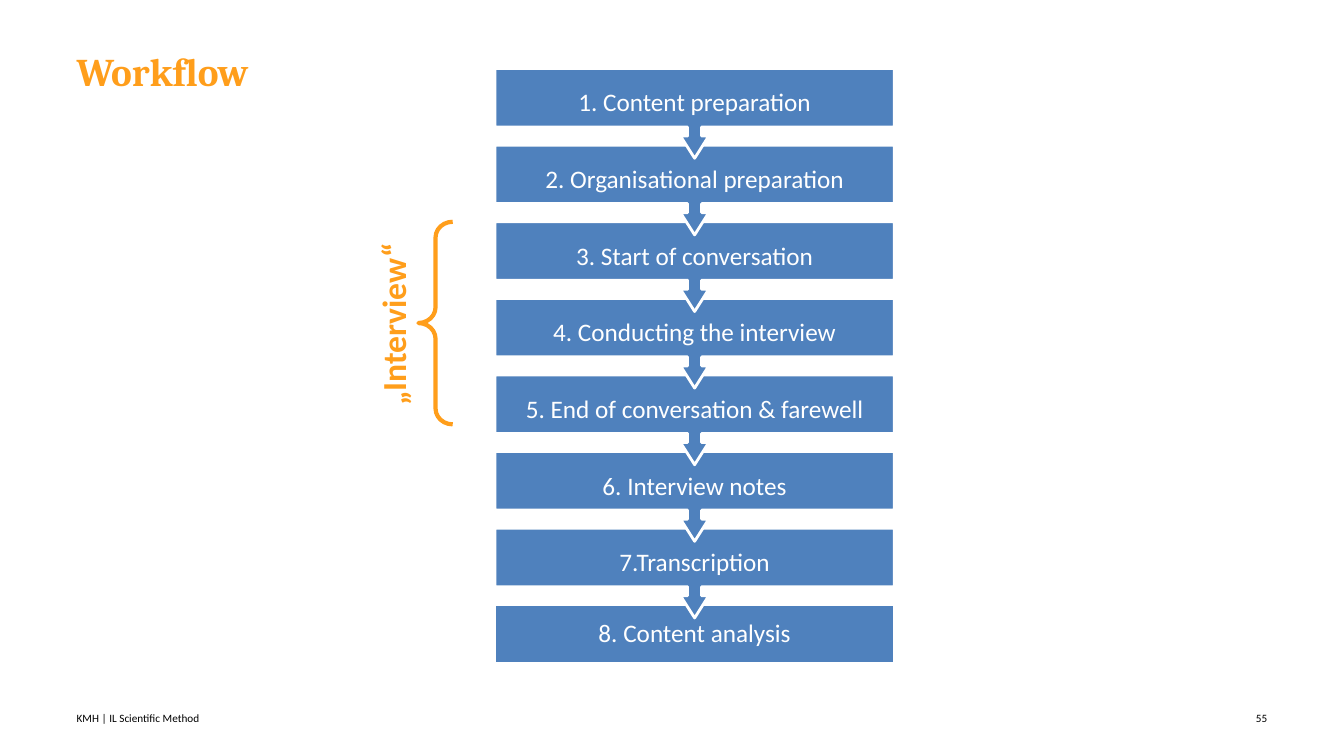
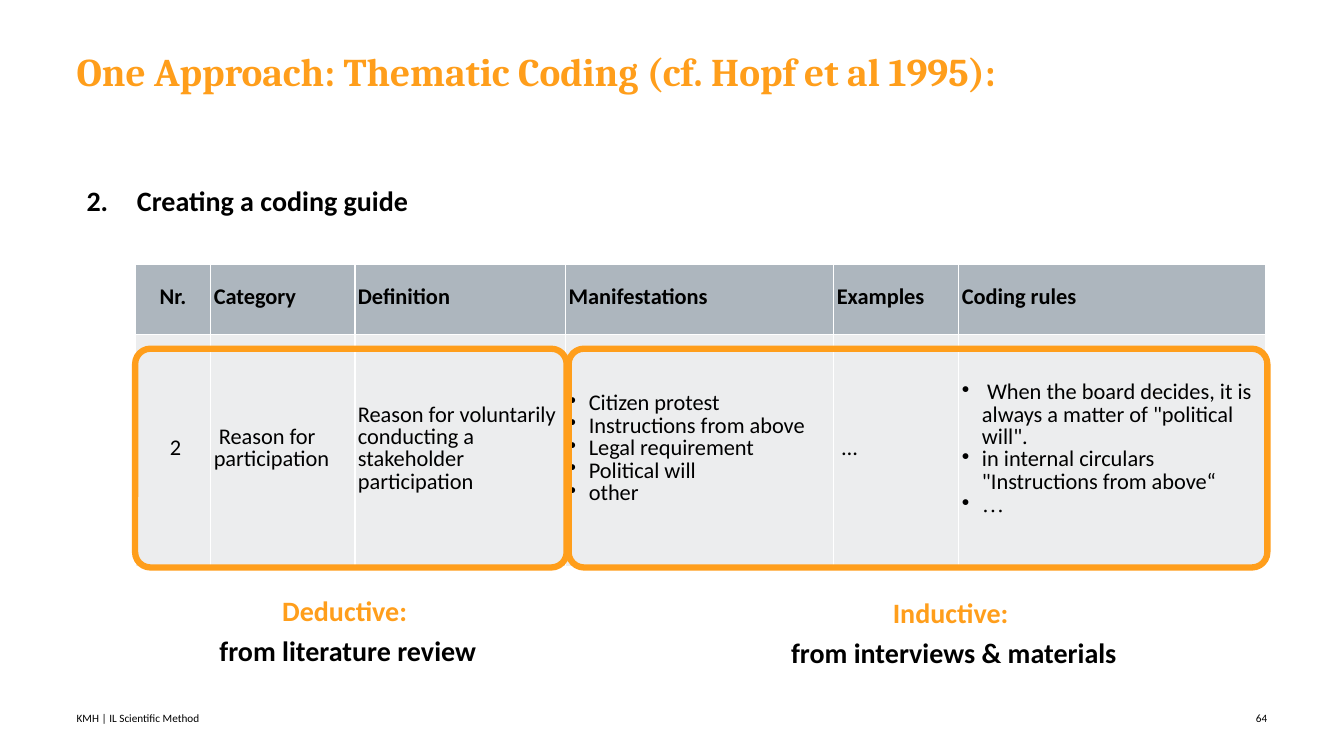
from lxml import etree
from pptx import Presentation
from pptx.dml.color import RGBColor
from pptx.enum import shapes, text
from pptx.oxml import ns
from pptx.util import Inches, Pt

ORANGE = RGBColor(0xFF, 0x9E, 0x1B)
BLACK = RGBColor(0, 0, 0)
WHITE = RGBColor(0xFF, 0xFF, 0xFF)
BLUE = RGBColor(0x4F, 0x81, 0xBD)
HEAD = RGBColor(0xAD, 0xB6, 0xBE)
PALE = RGBColor(0xEC, 0xED, 0xEE)
LEFT, MID, RIGHT = text.PP_ALIGN.LEFT, text.PP_ALIGN.CENTER, text.PP_ALIGN.RIGHT
TOP, CORE = text.MSO_ANCHOR.TOP, text.MSO_ANCHOR.MIDDLE
KIND = shapes.MSO_SHAPE

FOOTER = "KMH | IL Scientific Method"
STEPS = [
    "1. Content preparation",
    "2. Organisational preparation",
    "3. Start of conversation",
    "4. Conducting the interview",
    "5. End of conversation & farewell",
    "6. Interview notes",
    "7.Transcription",
    "8. Content analysis",
]
WIDTHS = [0.75, 1.43, 2.09, 2.66, 1.24, 3.04]
HEIGHTS = [0.7, 2.3]
ROWS = [
    ["Nr.", "Category", "Definition", "Manifestations", "Examples", "Coding rules"],
    [
        " 2",
        " Reason for participation",
        "Reason for voluntarily conducting a stakeholder participation",
        ["Citizen protest", "Instructions from above", "Legal requirement",
         "Political will", "other"],
        " …",
        [" When the board decides, it is always a matter of \"political will\".",
         "in internal circulars \"Instructions from above“", "…"],
    ],
]
FRAMES = [(1.34, 4.28), (5.64, 6.93)]
NOTES = [
    ((1.53, 5.82, 3.84, 0.78), "Deductive: ", "from literature review"),
    ((6.35, 5.84, 6.22, 0.78), "Inductive: ", "from interviews & materials"),
]


def add_xml(parent, tag, **attrs):
    return etree.SubElement(parent, ns.qn(tag), attrs)


def write(frame, lines, size=16, color=BLACK, font="Calibri", bold=False,
          align=LEFT, anchor=TOP, pads=(0, 0, 0, 0), gap=None,
          indent=0, mark=None):
    frame.word_wrap = True
    frame.vertical_anchor = anchor
    (frame.margin_left, frame.margin_top,
     frame.margin_right, frame.margin_bottom) = [Inches(p) for p in pads]
    for i, line in enumerate([lines] if isinstance(lines, str) else lines):
        para = frame.add_paragraph() if i else frame.paragraphs[0]
        para.alignment = align
        if gap:
            para.line_spacing = gap
        if mark:
            props = para._p.get_or_add_pPr()
            props.set("marL", str(Inches(indent)))
            props.set("indent", str(-Inches(indent)))
            tag, attrs = mark
            add_xml(props, tag, **attrs)
        parts = [(line, color)] if isinstance(line, str) else line
        for j, (words, tint) in enumerate(parts):
            if j:
                para.add_line_break()
            run = para.add_run()
            run.text = words
            run.font.size = Pt(size)
            run.font.name = "Times New Roman" if words == "…" else font
            run.font.bold = bold
            run.font.color.rgb = tint


def add_text(slide, at, lines, **style):
    box = slide.shapes.add_textbox(*[Inches(n) for n in at])
    write(box.text_frame, lines, **style)
    return box


def paint(shape, line, width, fill=None):
    shape.shadow.inherit = False
    if fill is None:
        shape.fill.background()
    else:
        shape.fill.solid()
        shape.fill.fore_color.rgb = fill
    shape.line.color.rgb = line
    shape.line.width = Pt(width)


def add_page(deck, title, number):
    slide = deck.slides.add_slide(deck.slide_layouts[6])
    add_text(slide, (0.76, 0.52, 9.76, 0.87), title, size=28, color=ORANGE,
             font="Cambria", bold=True, gap=0.9)
    add_text(slide, (0.76, 7.04, 5.59, 0.16), FOOTER, size=8, anchor=CORE)
    add_text(slide, (12.02, 7.04, 0.55, 0.16), number, size=8, align=RIGHT,
             anchor=CORE)
    return slide


def add_step(slide, top, label, last):
    left, wide, high = 4.91, 3.96, 0.58
    right, low, mid = left + wide, top + high, left + wide / 2
    neck, tip = top + 0.67, top + 0.89
    arrow = [(mid + 0.07, low), (mid + 0.07, neck), (mid + 0.14, neck),
             (mid, tip), (mid - 0.14, neck), (mid - 0.07, neck),
             (mid - 0.07, low)]
    points = [(left, top), (right, top), (right, low)]
    points += ([] if last else arrow) + [(left, low)]
    points = [(Inches(x), Inches(y)) for x, y in points]
    path = slide.shapes.build_freeform(*points[0], scale=1.0)
    path.add_line_segments(points[1:], close=True)
    shape = path.convert_to_shape()
    paint(shape, WHITE, 2, BLUE)
    pads = (0.1, 0.1, 0.1, 0.1) if last else (0.1, 0.11, 0.1, 0.3)
    write(shape.text_frame, label, size=18, color=WHITE, align=MID,
          anchor=CORE, pads=pads, gap=0.9)


def add_flow(deck):
    slide = add_page(deck, "Workflow", "55")
    end = len(STEPS) - 1
    for i in range(end, -1, -1):
        add_step(slide, 0.68 + 0.76 * i, STEPS[i], i == end)
    brace = slide.shapes.add_shape(KIND.LEFT_BRACE, Inches(4.15), Inches(2.2),
                                   Inches(0.34), Inches(2.01))
    brace.adjustments[0] = 0.46
    paint(brace, ORANGE, 3)
    label = add_text(slide, (2.87, 2.97, 2.05, 0.5), "„Interview“", size=24,
                     color=ORANGE, bold=True, align=MID,
                     pads=(0.1, 0.05, 0.1, 0.05))
    label.rotation = 270


def add_edges(cell):
    props = cell._tc.get_or_add_tcPr()
    for i, side in enumerate(("a:lnL", "a:lnR", "a:lnT", "a:lnB")):
        edge = etree.Element(ns.qn(side), {"w": str(Pt(1))})
        add_xml(add_xml(edge, "a:solidFill"), "a:srgbClr", val=str(WHITE))
        props.insert(i, edge)


def add_grid(slide):
    grid = slide.shapes.add_table(
        len(ROWS), len(WIDTHS), Inches(1.34), Inches(2.62),
        Inches(sum(WIDTHS)), Inches(sum(HEIGHTS))).table
    for col, wide in zip(grid.columns, WIDTHS):
        col.width = Inches(wide)
    for r, row in enumerate(ROWS):
        grid.rows[r].height = Inches(HEIGHTS[r])
        for c, words in enumerate(row):
            cell = grid.cell(r, c)
            cell.fill.solid()
            cell.fill.fore_color.rgb = PALE if r else HEAD
            add_edges(cell)
            mark = ("a:buChar", {"char": "•"}) if isinstance(words, list) else None
            write(cell.text_frame, words, bold=r == 0, gap=Pt(16),
                  align=LEFT if c else MID, indent=0.2, mark=mark)
            cell.vertical_anchor = CORE
            cell.margin_left = cell.margin_right = Inches(0.03)
            cell.margin_top = cell.margin_bottom = 0


def add_guide(deck):
    slide = add_page(
        deck, "One Approach: Thematic Coding (cf. Hopf et al 1995):", "64")
    add_text(slide, (0.76, 1.7, 11.81, 0.6), "Creating a coding guide",
             size=20, bold=True, pads=(0.1, 0.05, 0.1, 0.05), gap=1.2,
             indent=0.5,
             mark=("a:buAutoNum", {"type": "arabicPeriod", "startAt": "2"}))
    add_grid(slide)
    for left, wide in FRAMES:
        ring = slide.shapes.add_shape(KIND.ROUNDED_RECTANGLE, Inches(left),
                                      Inches(3.46), Inches(wide), Inches(2.17))
        ring.adjustments[0] = 0.07
        paint(ring, ORANGE, 4.5)
    for at, name, source in NOTES:
        add_text(slide, at, [[(name, ORANGE), (source, BLACK)]], size=20,
                 bold=True, align=MID, gap=1.2)


def main():
    deck = Presentation()
    deck.slide_width, deck.slide_height = Inches(13.33), Inches(7.5)
    add_flow(deck)
    add_guide(deck)
    deck.save("out.pptx")


if __name__ == "__main__":
    main()
